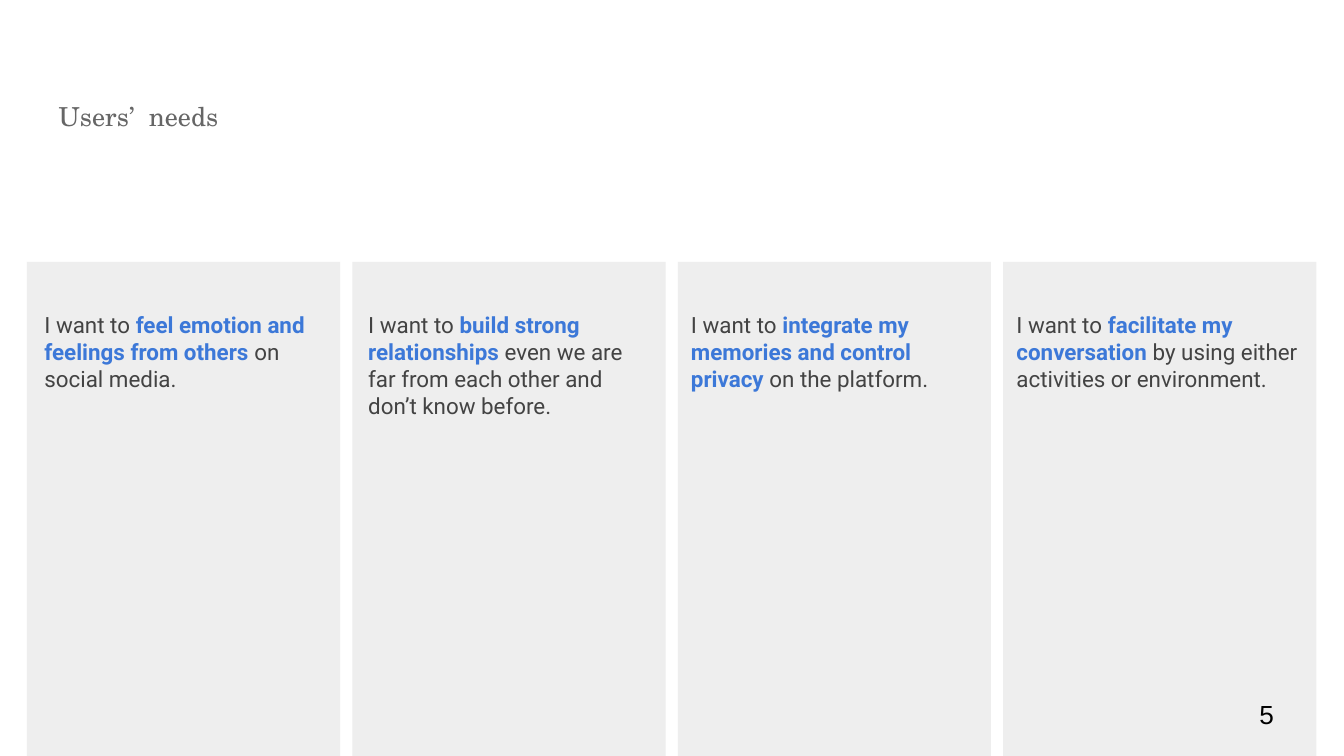
import pptx
import pptx.dml.color
import pptx.enum.shapes
import pptx.enum.text
import pptx.util
from pptx.util import Cm

PANEL_GREY = "EEEEEE"
BODY_GREY = "434343"
HIGHLIGHT_BLUE = "3C78D8"

# Opening, highlighted need, ending, and the text's shift from its panel's left edge in cm
NEEDS = [
    ("I want to ", "feel emotion and feelings from others ", "on social media.", 0.08),
    ("I want to ", "build strong relationships ",
     "even we are far from each other and don’t know before.", 0.05),
    ("I want to ", "integrate my memories and control privacy ", "on the platform.", 0),
    ("I want to ", "facilitate my conversation ",
     "by using either activities or environment.", 0),
]


def rgb(hex_colour):
    return pptx.dml.color.RGBColor.from_string(hex_colour)


def format_run(run, font_name, size, colour, bold=False):
    run.font.name = font_name
    run.font.size = pptx.util.Pt(size)
    run.font.color.rgb = rgb(colour)
    run.font.bold = bold


def add_text_frame(slide, left, top, width, height):
    """Add a wrapping text box with even insets, measured in cm, and return its frame."""
    frame = slide.shapes.add_textbox(Cm(left), Cm(top), Cm(width), Cm(height)).text_frame
    frame.word_wrap = True
    frame.margin_left = frame.margin_right = Cm(0.25)
    frame.margin_top = frame.margin_bottom = Cm(0.25)
    return frame


def add_title(slide, left, top, width, height):
    title = add_text_frame(slide, left, top, width, height)
    title.text = "Users’  needs"
    format_run(title.paragraphs[0].runs[0], "TeX Gyre Schola", 14, "666666")


def add_need_panel(slide, need, left, top, width, height):
    panel = slide.shapes.add_shape(
        pptx.enum.shapes.MSO_SHAPE.RECTANGLE, Cm(left), Cm(top), Cm(width), Cm(height))
    panel.shadow.inherit = False
    panel.fill.solid()
    panel.fill.fore_color.rgb = rgb(PANEL_GREY)
    panel.line.fill.background()

    opening, highlight, ending, shift = need
    statement = add_text_frame(slide, left + shift, top + 0.69, width, 2.6).paragraphs[0]
    for wording, colour, bold in ((opening, BODY_GREY, False),
                                  (highlight, HIGHLIGHT_BLUE, True),
                                  (ending, BODY_GREY, False)):
        run = statement.add_run()
        run.text = wording
        format_run(run, "Roboto", 12, colour, bold)


def add_needs(slide, left, top, width, height, gap):
    """Spread the need panels evenly across the given box."""
    panel_width = (width - gap * (len(NEEDS) - 1)) / len(NEEDS)
    for index, need in enumerate(NEEDS):
        add_need_panel(slide, need, left + index * (panel_width + gap),
                       top, panel_width, height)


def add_page_number(slide, left, top, width, height):
    page_number = add_text_frame(slide, left, top, width, height)
    page_number.vertical_anchor = pptx.enum.text.MSO_ANCHOR.MIDDLE
    page_number.text = "5"
    format_run(page_number.paragraphs[0].runs[0], "Arial", 14, "000000")


def main():
    presentation = pptx.Presentation()
    presentation.slide_width = Cm(25.4)
    presentation.slide_height = Cm(14.29)
    slide = presentation.slides.add_slide(presentation.slide_layouts[6])
    add_title(slide, 0.86, 1.65, 4.47, 1.22)
    add_needs(slide, 0.51, 4.95, 24.37, 9.34, gap=0.23)
    add_page_number(slide, 23.55, 12.95, 1.52, 1.09)
    presentation.save("out.pptx")


if __name__ == "__main__":
    main()
